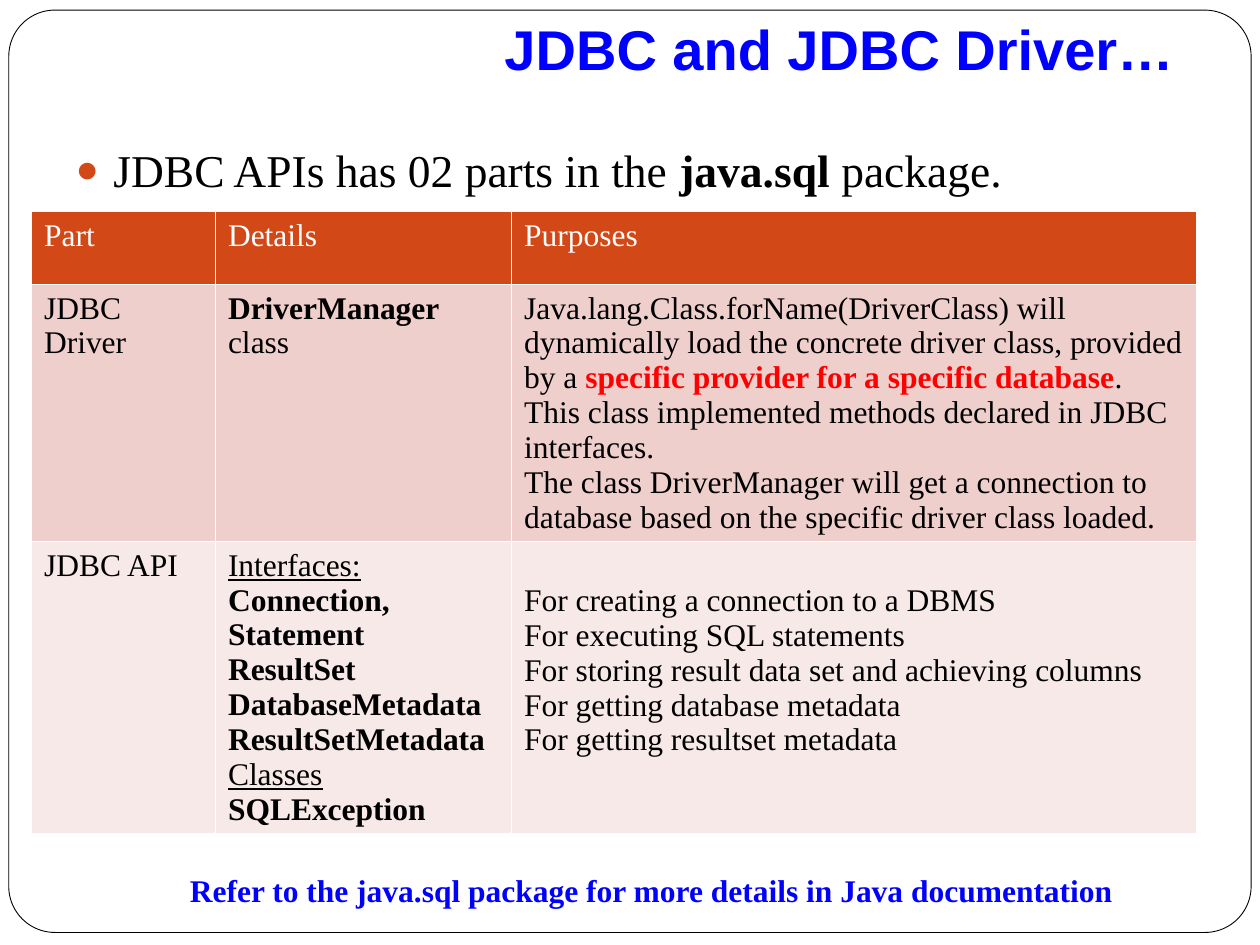
from dataclasses import dataclass

from lxml import etree
from pptx import Presentation
from pptx import util as u
from pptx.dml.color import RGBColor
from pptx.enum import shapes, text
from pptx.oxml.ns import qn


@dataclass(frozen=True)
class Theme:
    heading_font: str = "Arial"
    body_font: str = "Times New Roman"
    title_size: int = 32
    bullet_size: int = 26
    text_size: int = 18
    white: str = "FFFFFF"
    black: str = "000000"
    blue: str = "0000FF"
    red: str = "FF0000"
    accent: str = "D34817"
    bands: tuple = ("EFCFCC", "F7E9E8")


THEME = Theme()
SLIDE_WIDTH, SLIDE_HEIGHT = u.Inches(10), u.Inches(7.5)
COLUMN_SHARES = (14.6, 23.5, 54.4)
ROW_SHARES = (7.73, 27.2, 30.76)
LINE_HEIGHT = u.Inches(0.28)

BOLD = {"bold": True}
UNDERLINED = {"underline": True}
WARNING = {"bold": True, "color": THEME.red}

HEADINGS = ("Part", "Details", "Purposes")
INTERFACES = ("Connection,", "Statement", "ResultSet", "DatabaseMetadata", "ResultSetMetadata")
PURPOSES = (
    "For creating a connection to a DBMS",
    "For executing SQL statements",
    "For storing result data set and achieving columns",
    "For getting database metadata",
    "For getting resultset metadata",
)
ROWS = (
    [[[(heading, {})]] for heading in HEADINGS],
    [
        [[("JDBC Driver", {})]],
        [[("DriverManager ", BOLD), ("class", {})]],
        [
            [
                ("Java.lang.Class.forName(DriverClass) will dynamically load the "
                 "concrete driver class, provided by a ", {}),
                ("specific provider for a specific database", WARNING),
                (". This class implemented methods declared in JDBC interfaces.", {}),
            ],
            [("The class DriverManager will get a connection to database based on "
              "the specific driver class loaded.", {})],
        ],
    ],
    [
        [[("JDBC API", {})]],
        [
            [("Interfaces:", UNDERLINED)],
            *([(name, BOLD)] for name in INTERFACES),
            [("Classes", UNDERLINED)],
            [("SQLException", BOLD)],
        ],
        [[(purpose, {})] for purpose in PURPOSES],
    ],
)


def across(percent):
    return u.Emu(round(SLIDE_WIDTH * percent / 100))


def down(percent):
    return u.Emu(round(SLIDE_HEIGHT * percent / 100))


def area(left, top, width, height):
    return across(left), down(top), across(width), down(height)


def move(placeholder, bounds):
    placeholder.left, placeholder.top, placeholder.width, placeholder.height = bounds


def style_font(font, family, size, color, bold=None):
    font.name = family
    font.size = u.Pt(size)
    font.color.rgb = RGBColor.from_string(color)
    font.bold = bold


def write_runs(paragraph, runs):
    for words, style in runs:
        run = paragraph.add_run()
        run.text = words
        if "bold" in style:
            run.font.bold = True
        if "underline" in style:
            run.font.underline = True
        if "color" in style:
            run.font.color.rgb = RGBColor.from_string(style["color"])


def add_bullet(paragraph, symbol, color, size_percent, indent):
    properties = paragraph._p.get_or_add_pPr()
    properties.set("marL", str(indent))
    properties.set("indent", str(-indent))
    bullet_color = etree.SubElement(properties, qn("a:buClr"))
    etree.SubElement(bullet_color, qn("a:srgbClr"), val=color)
    etree.SubElement(properties, qn("a:buSzPct"), val=str(size_percent * 1000))
    etree.SubElement(properties, qn("a:buChar"), char=symbol)


def add_borders(cell, color, widths):
    properties = cell._tc.get_or_add_tcPr()
    for side, width in widths.items():
        line = etree.SubElement(properties, qn(f"a:ln{side}"), w=str(u.Pt(width)))
        fill = etree.SubElement(line, qn("a:solidFill"))
        etree.SubElement(fill, qn("a:srgbClr"), val=color)


def add_frame(slide):
    frame = slide.shapes.add_shape(
        shapes.MSO_SHAPE.ROUNDED_RECTANGLE, *area(0.7, 1.07, 98.6, 97.6))
    frame.adjustments[0] = 0.05
    frame.shadow.inherit = False
    frame.fill.solid()
    frame.fill.fore_color.rgb = RGBColor.from_string(THEME.white)
    frame.line.color.rgb = RGBColor.from_string(THEME.black)
    frame.line.width = u.Pt(0.5)
    slide.shapes.element.insert(2, frame.element)


def add_title(slide, words):
    title = slide.shapes.title
    move(title, area(10, 0, 84.2, 10))
    content = title.text_frame
    content.text = words
    content.auto_size = text.MSO_AUTO_SIZE.NONE
    content.vertical_anchor = text.MSO_ANCHOR.BOTTOM
    content.margin_bottom = u.Inches(0.1)
    heading = content.paragraphs[0]
    heading.alignment = text.PP_ALIGN.RIGHT
    style_font(heading.font, THEME.heading_font, THEME.title_size, THEME.blue, True)


def add_statement(slide, runs):
    body = slide.placeholders[1]
    move(body, area(5, 14.4, 88.3, 8.93))
    content = body.text_frame
    content.auto_size = text.MSO_AUTO_SIZE.NONE
    content.margin_top = u.Inches(0.13)
    statement = content.paragraphs[0]
    add_bullet(statement, "●", THEME.accent, 85, u.Inches(0.3))
    statement.alignment = text.PP_ALIGN.JUSTIFY
    statement.line_spacing = 0.8
    statement.space_before = u.Pt(0)
    style_font(statement.font, THEME.body_font, THEME.bullet_size, THEME.black)
    write_runs(statement, runs)


def fill_cell(cell, paragraphs, background, color, borders):
    add_borders(cell, THEME.white, borders)
    cell.fill.solid()
    cell.fill.fore_color.rgb = RGBColor.from_string(background)
    for index, runs in enumerate(paragraphs):
        content = cell.text_frame
        paragraph = content.add_paragraph() if index else content.paragraphs[0]
        style_font(paragraph.font, THEME.body_font, THEME.text_size, color, False)
        write_runs(paragraph, runs)


def add_parts_table(slide):
    bounds = area(2.5, 22.4, sum(COLUMN_SHARES), sum(ROW_SHARES))
    table = slide.shapes.add_table(len(ROWS), len(HEADINGS), *bounds).table
    for column, share in zip(table.columns, COLUMN_SHARES):
        column.width = across(share)
    for row, share in zip(table.rows, ROW_SHARES):
        row.height = down(share)
    backgrounds = (THEME.accent, *THEME.bands)
    for row_index, (row, background) in enumerate(zip(ROWS, backgrounds)):
        header = row_index == 0
        color = THEME.white if header else THEME.black
        borders = {"L": 1, "R": 1, "T": 1, "B": 1}
        for column_index, paragraphs in enumerate(row):
            fill_cell(table.cell(row_index, column_index),
                      paragraphs, background, color, borders)
    table.cell(2, 2).margin_top = u.Inches(0.05) + LINE_HEIGHT


def add_reference(slide, words):
    box = slide.shapes.add_textbox(*area(14.1, 91.47, 76, 5.33))
    content = box.text_frame
    content.word_wrap = False
    content.auto_size = text.MSO_AUTO_SIZE.SHAPE_TO_FIT_TEXT
    content.text = words
    style_font(content.paragraphs[0].font, THEME.body_font, THEME.text_size, THEME.blue, True)


def main():
    deck = Presentation()
    deck.slide_width, deck.slide_height = SLIDE_WIDTH, SLIDE_HEIGHT
    slide = deck.slides.add_slide(deck.slide_layouts[1])
    add_frame(slide)
    add_title(slide, "JDBC and JDBC Driver…")
    add_statement(slide, [
        ("JDBC APIs has 02 parts in the ", {}), ("java.sql", BOLD), (" package.", {})])
    add_parts_table(slide)
    add_reference(slide, "Refer to the java.sql package for more details in Java documentation")
    deck.save("out.pptx")


if __name__ == "__main__":
    main()
